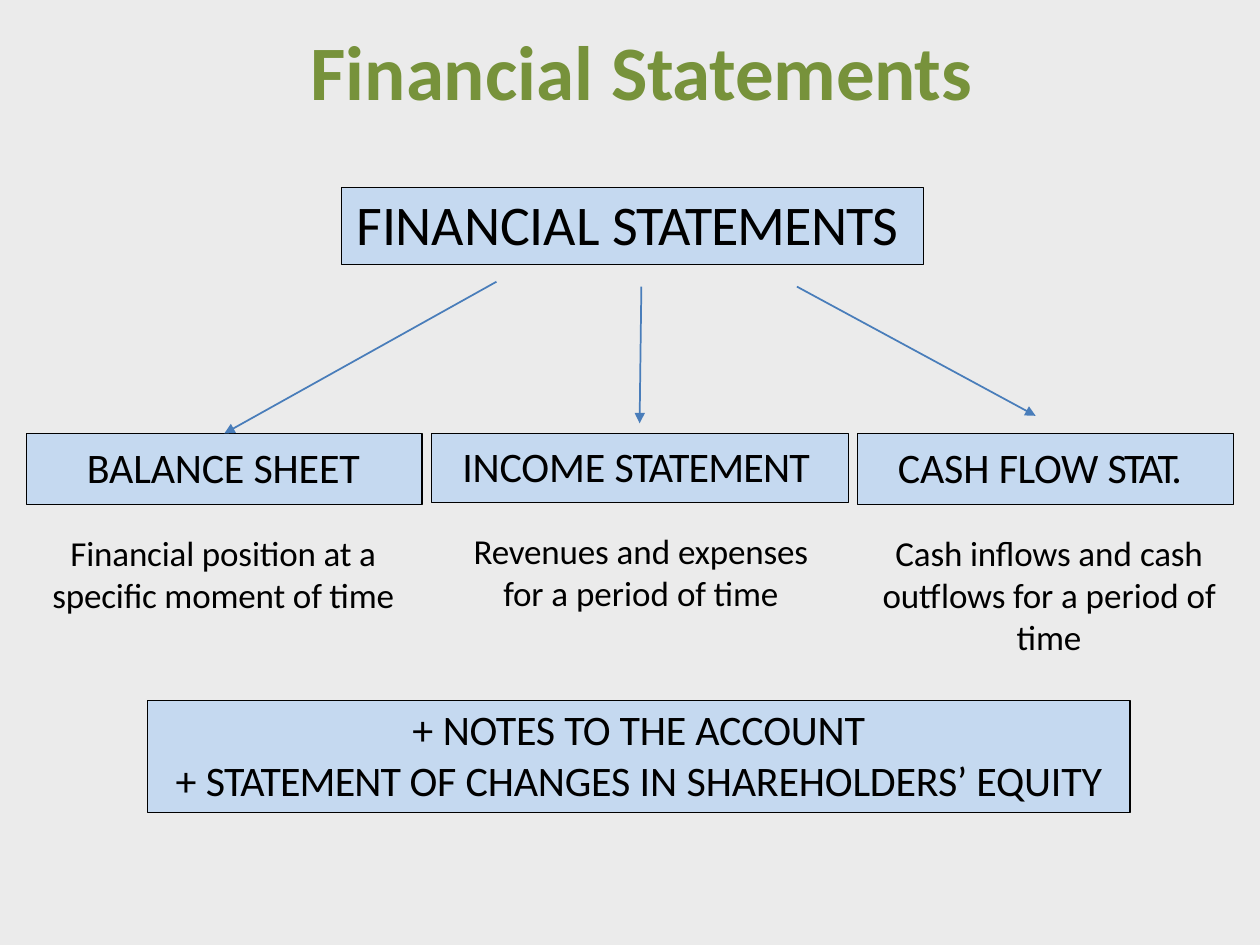
from lxml.etree import SubElement
from pptx import Presentation
from pptx.dml.color import RGBColor
from pptx.enum.shapes import MSO_CONNECTOR, MSO_SHAPE
from pptx.enum.text import MSO_ANCHOR, MSO_AUTO_SIZE, PP_ALIGN
from pptx.oxml.ns import qn
from pptx.util import Pt

COLORS = {"background": "EBEBEB", "title": "77923B", "box": "C5D9F0",
          "text": "000000", "arrow": "497DBA"}
FONT = "Calibri"

TITLE = [[("Financial ", 0), ("Statements", -0.2)]]
ROOT = [[("FINANCIAL ", -0.1), ("STATEMENTS", -0.6)]]
STATEMENTS = [
    {"label": [[("BALANCE SHEET", -0.1)]],
     "width": 226.1, "height": 40.5, "indent": 34.6, "inset": 4.3,
     "description": [[("Financial position at ", -0.1), ("a ", 0),
                      ("specific moment of time", -0.1)]],
     "description_at": (27.4, 303.2, 200.2, 50.4)},
    {"label": [[("INCOME ", -0.1), ("STATEMENT", -0.5)]],
     "width": 238.3, "height": 39.6, "indent": 17.7, "inset": 4,
     "description": [[("Revenues ", -0.1), ("and ", 0), ("expenses", -0.1)],
                     [("for ", -0.1), ("a period ", 0), ("of time", -0.1)]],
     "description_at": (268.6, 301.7, 195.1, 50.4)},
    {"label": [[("CASH ", -0.1), ("FLOW ", -0.2), ("STAT.", -1.4)]],
     "width": 214.6, "height": 40.5, "indent": 23, "inset": 4.3,
     "description": [[("Cash inflows ", -0.1), ("and ", 0), ("cash outflows for ", -0.1),
                      ("a period ", 0), ("of time", -0.1)]],
     "description_at": (502.6, 303.1, 193.7, 74.2)},
]
ADDITIONS = [
    [("+ ", 0), ("NOTES ", -0.2), ("TO ", -0.4), ("THE ACCOUNT", -0.1)],
    [("+ ", 0), ("STATEMENT ", -0.5), ("OF CHANGES ", -0.1), ("IN ", 0),
     ("SHAREHOLDERS’ EQUITY", -0.1)],
]
ARROWS = [
    (283.7, 161, 128.2, 247.7),
    (366.5, 163.8, 365.5, 241.9),
    (455.4, 163.8, 591.8, 237.6),
]
ROW_LEFT, ROW_TOP, ROW_GAP = 15.1, 247.7, 5.3


def rgb(name):
    return RGBColor.from_string(COLORS[name])


def write(part, paragraphs, size, color="text", bold=False,
          align=PP_ALIGN.CENTER, left=0, top=0.7):
    frame = part.text_frame
    frame_format = {"word_wrap": True, "auto_size": MSO_AUTO_SIZE.NONE,
                    "vertical_anchor": MSO_ANCHOR.TOP, "margin_left": Pt(left),
                    "margin_top": Pt(top), "margin_right": 0, "margin_bottom": 0}
    for name, value in frame_format.items():
        setattr(frame, name, value)
    for index, pieces in enumerate(paragraphs):
        paragraph = frame.add_paragraph() if index else frame.paragraphs[0]
        paragraph.alignment = align
        for text, spacing in pieces:
            run = paragraph.add_run()
            run.text = text
            for name, value in {"name": FONT, "size": Pt(size), "bold": bold}.items():
                setattr(run.font, name, value)
            run.font.color.rgb = rgb(color)
            if spacing:
                run.font._element.set("spc", str(round(spacing * 100)))


def add_box(slide, place, paragraphs, size, **options):
    box = slide.shapes.add_shape(MSO_SHAPE.RECTANGLE, *map(Pt, place))
    box.shadow.inherit = False
    box.fill.solid()
    box.fill.fore_color.rgb = rgb("box")
    box.line.color.rgb = rgb("text")
    box.line.width = Pt(0.75)
    write(box, paragraphs, size, **options)


def add_arrow(slide, ends):
    arrow = slide.shapes.add_connector(MSO_CONNECTOR.STRAIGHT, *map(Pt, ends))
    arrow.line.color.rgb = rgb("arrow")
    arrow.line.width = Pt(1)
    SubElement(arrow.line._get_or_add_ln(), qn("a:tailEnd"), type="triangle")
    SubElement(arrow._element.spPr, qn("a:effectLst"))


def main():
    deck = Presentation()
    deck.slide_width, deck.slide_height = Pt(720), Pt(540)
    slide = deck.slides.add_slide(deck.slide_layouts[5])
    slide.background.fill.solid()
    slide.background.fill.fore_color.rgb = rgb("background")

    title = slide.shapes.title
    title_place = {"left": 175.7, "top": 13, "width": 381.6, "height": 54.7}
    for name, value in title_place.items():
        setattr(title, name, Pt(value))
    write(title, TITLE, 44, color="title", bold=True)

    add_box(slide, (195.1, 107.3, 332.6, 43.9), ROOT, 32,
            align=PP_ALIGN.LEFT, left=8.6)
    left = ROW_LEFT
    for statement in STATEMENTS:
        add_box(slide, (left, ROW_TOP, statement["width"], statement["height"]),
                statement["label"], 24, align=PP_ALIGN.LEFT,
                left=statement["indent"], top=statement["inset"])
        left += statement["width"] + ROW_GAP
        description = slide.shapes.add_textbox(*map(Pt, statement["description_at"]))
        write(description, statement["description"], 20)
    add_box(slide, (84.2, 400.3, 561.6, 64.1), ADDITIONS, 24, top=1.9)

    for ends in ARROWS:
        add_arrow(slide, ends)
    deck.save("out.pptx")


if __name__ == "__main__":
    main()
